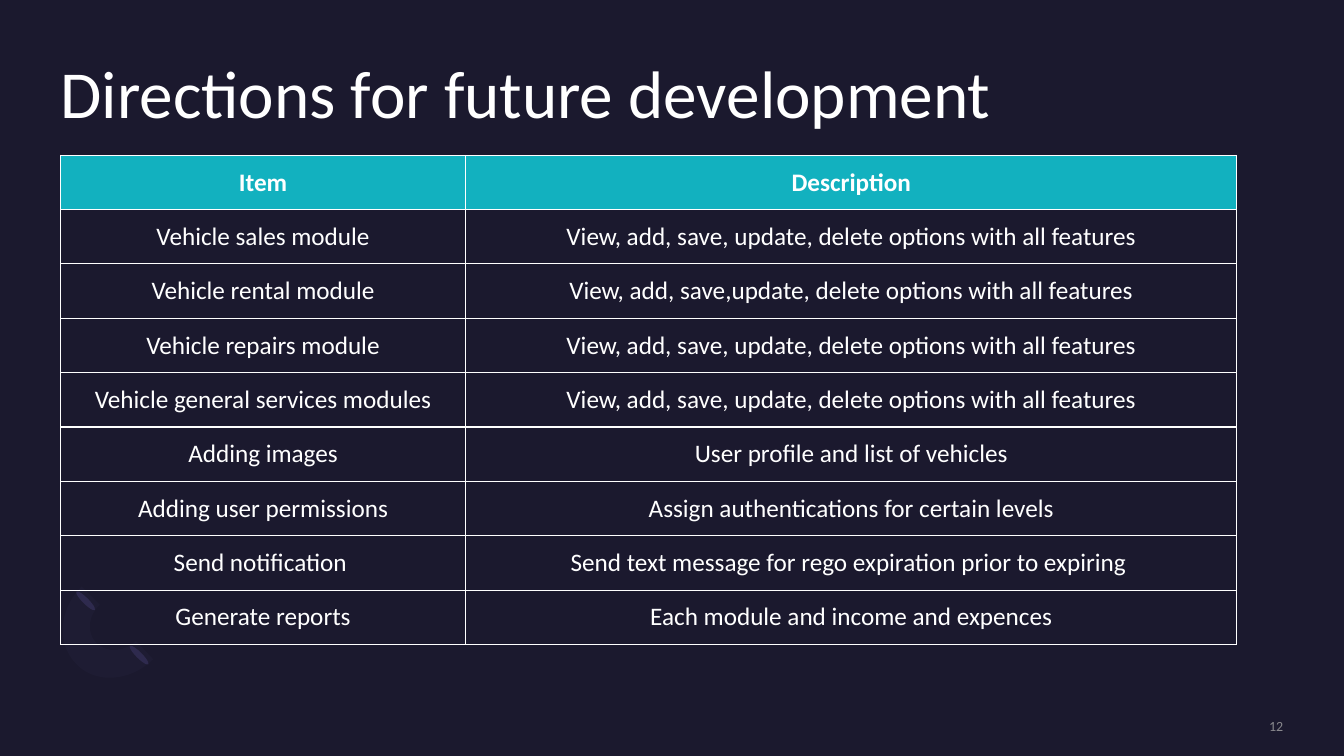
"""Build the slide that lists the directions for future development."""
from dataclasses import dataclass
from typing import Any, NamedTuple

from lxml.etree import SubElement
from pptx import Presentation
from pptx.dml.color import RGBColor
from pptx.enum.shapes import MSO_SHAPE
from pptx.enum.text import MSO_ANCHOR, PP_ALIGN
from pptx.oxml import parse_xml
from pptx.oxml.ns import nsdecls, qn
from pptx.util import Pt


@dataclass(frozen=True)
class Theme:
    font: str = "Calibri"
    background: str = "1B192E"
    white: str = "FFFFFF"
    header: str = "12B1BF"
    petal: str = "2C284A"
    arc: str = "7771B2"
    number: str = "A6A6A6"
    title_size: float = 48
    table_size: float = 18
    number_size: float = 10
    border: float = 0.75


class Point(NamedTuple):
    x: float
    y: float


class Label(NamedTuple):
    text: str
    left: float
    top: float
    width: float
    height: float
    size: float
    color: str
    opacity: int
    align: PP_ALIGN
    anchor: MSO_ANCHOR
    spacing: float


class Entry(NamedTuple):
    item: str
    description: str
    heading: bool = False


THEME = Theme()
TABLE_LEFT, TABLE_TOP, ROW_HEIGHT = 43.2, 110.88, 38.83
COLUMN_WIDTHS = (289.5, 550.8)
PETAL_WIDTH, PETAL_HEIGHT = 4.3, 18.7
PETALS = (Point(97.2, 458.6), Point(59, 419.8))
ARC_START = Point(54.7, 474.5)
ARC_PARTS = (
    (Point(40.3, 460.1), Point(41.8, 435.6), Point(58.3, 419)),
    (Point(71.3, 432),),
    (Point(62.6, 439.9), Point(61.9, 452.9), Point(69.1, 459.4)),
    (Point(76.3, 466.6), Point(88.6, 465.8), Point(97.2, 457.9)),
    (Point(109.4, 470.9),),
    (Point(93.6, 486.7), Point(68.4, 488.9), ARC_START),
)
LABELS = (
    Label("Directions for future development", 43.2, 43.2, 873.4, 67.7, THEME.title_size,
          THEME.white, 100, PP_ALIGN.LEFT, MSO_ANCHOR.TOP, 0.9),
    Label("12", 783.4, 512.6, 133.2, 12.2, THEME.number_size,
          THEME.number, 80, PP_ALIGN.RIGHT, MSO_ANCHOR.MIDDLE, 1.0),
)
OPTIONS = "View, add, save, update, delete options with all features"
TABLES = (
    (
        Entry("Item", "Description", heading=True),
        Entry("Vehicle sales module", OPTIONS),
        Entry("Vehicle rental module", "View, add, save,update, delete options with all features"),
        Entry("Vehicle repairs module", OPTIONS),
        Entry("Vehicle general services modules", OPTIONS),
    ),
    (Entry("Adding images", "User profile and list of vehicles"),),
    (Entry("Adding user permissions", "Assign authentications for certain levels"),),
    (Entry("Send notification ", "Send text message for rego expiration prior to expiring "),),
    (Entry("Generate reports", "Each module and income and expences"),),
)


def apply(target: Any, values: dict[str, Any]) -> None:
    """Set each named attribute on the target."""
    for name, value in values.items():
        setattr(target, name, value)


def fade(element: Any, opacity: int) -> None:
    """Give every colour inside the element an opacity in percent."""
    for color in element.iter(qn("a:srgbClr")):
        SubElement(color, qn("a:alpha"), val=str(opacity * 1000))


def paint(shape: Any, color: str) -> None:
    """Fill a shape with a plain colour, without line or shadow."""
    shape.shadow.inherit = False
    shape.fill.solid()
    shape.fill.fore_color.rgb = RGBColor.from_string(color)
    shape.line.fill.background()


def write(para: Any, text: str, size: float, color: str, bold: bool = False) -> Any:
    """Add a formatted span to a paragraph."""
    span = para.add_run()
    span.text = text
    apply(span.font, {"name": THEME.font, "size": Pt(size), "bold": bold})
    span.font.color.rgb = RGBColor.from_string(color)
    return span


def curve(start: Point, controls: tuple[Point, ...], steps: int = 16) -> list[Point]:
    """Return points along a cubic curve, or the end of a straight side."""
    if len(controls) == 1:
        return list(controls)
    points = (start, *controls)
    result = []
    for step in range(1, steps + 1):
        t = step / steps
        weights = ((1 - t) ** 3, 3 * t * (1 - t) ** 2, 3 * t * t * (1 - t), t ** 3)
        result.append(Point(sum(w * p.x for w, p in zip(weights, points)),
                            sum(w * p.y for w, p in zip(weights, points))))
    return result


def draw_ornament(page: Any) -> None:
    """Draw the two petals and the faint arc in the corner."""
    for petal in PETALS:
        shape = page.shapes.add_shape(MSO_SHAPE.OVAL, Pt(petal.x), Pt(petal.y),
                                      Pt(PETAL_WIDTH), Pt(PETAL_HEIGHT))
        shape.rotation = 135
        paint(shape, THEME.petal)
    outline = [ARC_START]
    for controls in ARC_PARTS:
        outline += curve(outline[-1], controls)
    builder = page.shapes.build_freeform(Pt(ARC_START.x), Pt(ARC_START.y))
    builder.add_line_segments([(Pt(point.x), Pt(point.y)) for point in outline[1:]], close=True)
    arc = builder.convert_to_shape()
    paint(arc, THEME.arc)
    fade(arc.element.spPr, 4)


def draw_label(page: Any, label: Label) -> None:
    """Draw a text box without margins."""
    box = page.shapes.add_textbox(Pt(label.left), Pt(label.top), Pt(label.width), Pt(label.height))
    apply(box.text_frame, {"word_wrap": True, "vertical_anchor": label.anchor, "margin_left": 0,
                           "margin_top": 0, "margin_right": 0, "margin_bottom": 0})
    para = box.text_frame.paragraphs[0]
    apply(para, {"alignment": label.align, "line_spacing": label.spacing})
    span = write(para, label.text, label.size, label.color)
    if label.opacity < 100:
        fade(span.font._element, label.opacity)


def draw_cell(cell: Any, text: str, heading: bool) -> None:
    """Write, fill and frame one table cell."""
    cell.vertical_anchor = MSO_ANCHOR.MIDDLE
    para = cell.text_frame.paragraphs[0]
    para.alignment = PP_ALIGN.CENTER
    write(para, text, THEME.table_size, THEME.white, heading)
    if heading:
        cell.fill.solid()
        cell.fill.fore_color.rgb = RGBColor.from_string(THEME.header)
    else:
        cell.fill.background()
    properties = cell._tc.get_or_add_tcPr()
    for index, side in enumerate("LRTB"):
        properties.insert(index, parse_xml(
            f'<a:ln{side} {nsdecls("a")} w="{Pt(THEME.border)}"><a:solidFill>'
            f'<a:srgbClr val="{THEME.white}"/></a:solidFill></a:ln{side}>'))


def draw_table(page: Any, entries: tuple[Entry, ...], top: float) -> None:
    """Draw one table of items and descriptions."""
    frame = page.shapes.add_table(len(entries), len(COLUMN_WIDTHS), Pt(TABLE_LEFT), Pt(top),
                                  Pt(sum(COLUMN_WIDTHS)), Pt(ROW_HEIGHT * len(entries)))
    table = frame.table
    apply(table, {"first_row": False, "horz_banding": False})
    for column, width in zip(table.columns, COLUMN_WIDTHS):
        column.width = Pt(width)
    for row, entry in zip(table.rows, entries):
        row.height = Pt(ROW_HEIGHT)
        for cell, text in zip(row.cells, (entry.item, entry.description)):
            draw_cell(cell, text, entry.heading)


def main() -> None:
    """Build and save the deck."""
    deck = Presentation()
    apply(deck, {"slide_width": Pt(960), "slide_height": Pt(540)})
    page = deck.slides.add_slide(deck.slide_layouts[6])
    page.background.fill.solid()
    page.background.fill.fore_color.rgb = RGBColor.from_string(THEME.background)
    draw_ornament(page)
    for label in LABELS:
        draw_label(page, label)
    top = TABLE_TOP
    for entries in TABLES:
        draw_table(page, entries, top)
        top += ROW_HEIGHT * len(entries)
    deck.save("out.pptx")


if __name__ == "__main__":
    main()
